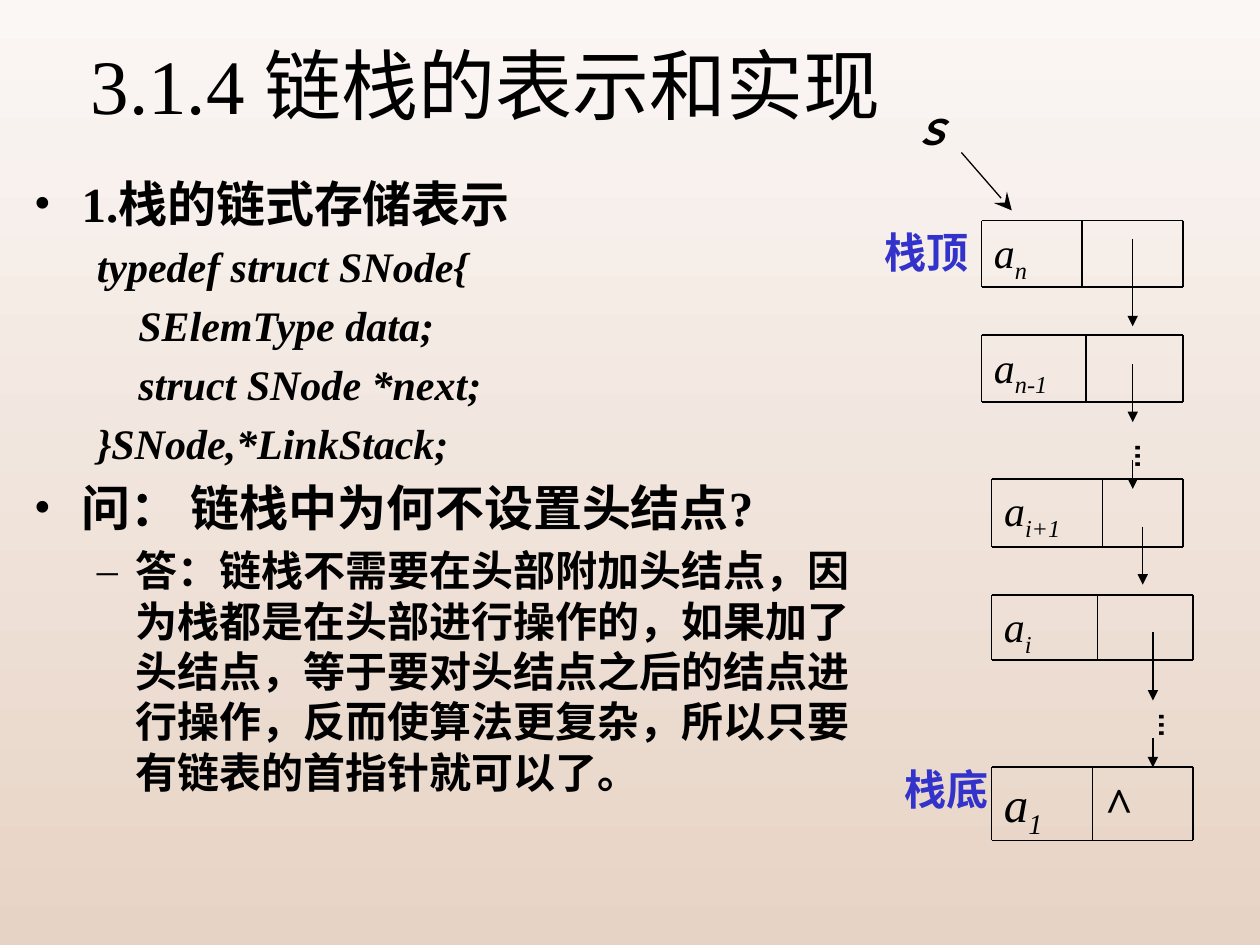
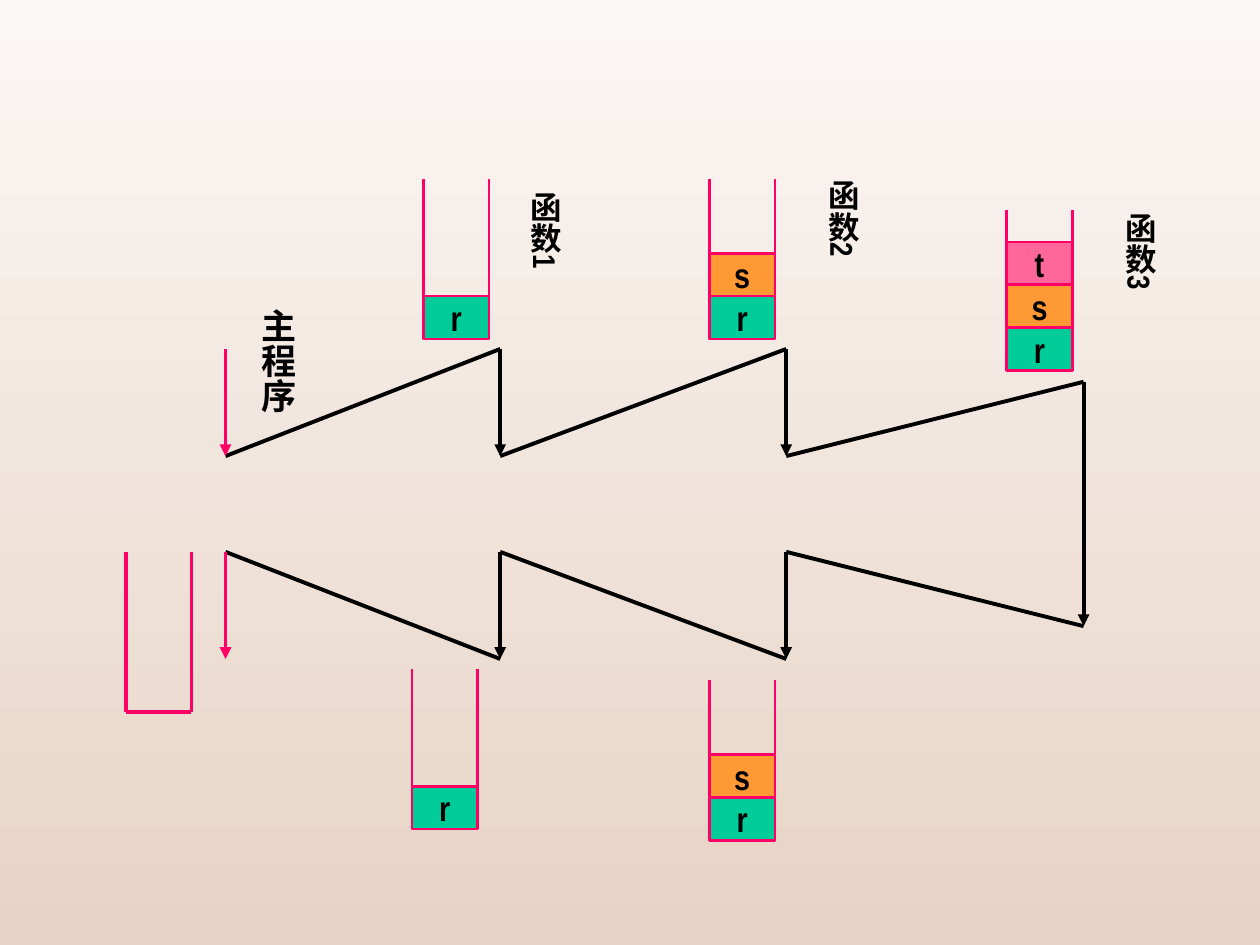
"""Build two slides on linked stacks and nested function calls."""
from pptx import Presentation
from pptx.dml.color import RGBColor
from pptx.enum.shapes import MSO_CONNECTOR, MSO_SHAPE
from pptx.enum.text import MSO_ANCHOR, MSO_AUTO_SIZE, PP_ALIGN
from pptx.oxml.ns import qn
from pptx.util import Inches, Pt
from lxml import etree

LINE, RECT = MSO_CONNECTOR.STRAIGHT, MSO_SHAPE.RECTANGLE
TOP, MIDDLE = MSO_ANCHOR.TOP, MSO_ANCHOR.MIDDLE
LEFT, CENTER = PP_ALIGN.LEFT, PP_ALIGN.CENTER
GROW = MSO_AUTO_SIZE.SHAPE_TO_FIT_TEXT

COLORS = {
    "sky": "FBF7F5", "sand": "E7D3C5", "ink": "000000", "blue": "3333CC",
    "pink": "FF0066", "r": "00CC99", "s": "FF9933", "t": "FF6699",
}
SERIF, SANS = "Times New Roman", "Arial Narrow"
CELL_W, CELL_H, WALL_H = 0.52, 0.34, 1.27

CODE = (0.81, -0.31, None, 24, True)
INNER = (0.83, 0, None, 24, True)
HEAD = (0.38, -0.38, "•", 28, False)
REPLY = (0.81, -0.31, "–", 24, False)
BODY = [
    ("1.栈的链式存储表示", HEAD),
    ("typedef struct SNode{", CODE),
    ("SElemType data;", INNER),
    ("struct SNode *next;", INNER),
    ("}SNode,*LinkStack;", CODE),
    ("问： 链栈中为何不设置头结点?", HEAD),
    ("答：链栈不需要在头部附加头结点，因为栈都是在头部进行操作的，"
     "如果加了头结点，等于要对头结点之后的结点进行操作，"
     "反而使算法更复杂，所以只要有链表的首指针就可以了。", REPLY),
]
NODES = [
    ("n", 7.79, 1.75, 1.6, 0.8, 0.53, 24),
    ("n-1", 7.79, 2.66, 1.6, 0.83, 0.53, 24),
    ("i+1", 7.87, 3.8, 1.52, 0.88, 0.54, 24),
    ("i", 7.87, 4.72, 1.6, 0.84, 0.52, 24),
    ("1", 7.87, 6.09, 1.6, 0.8, 0.58, 28),
]
LINKS = [(8.99, 1.9, 2.59), (8.99, 2.89, 3.35), (8.99, 3.65, 3.88),
         (9.07, 4.18, 4.64), (9.15, 5.02, 5.56), (9.15, 5.86, 6.09)]
CALL_X = [1.79, 3.97, 6.24, 8.6]
CALL_Y = [(2.77, 5.23), (2.77, 5.23), (3.03, 4.97)]
STACKS = [(3.36, 2.69, "r"), (5.63, 2.69, "rs"), (7.99, 2.94, "rst"),
          (3.27, 6.58, "r"), (5.63, 6.67, "rs")]


def color(name):
    """Return the named colour."""
    return RGBColor.from_string(COLORS[name])


def new_slide(deck):
    """Add a blank slide with the shared gradient."""
    slide = deck.slides.add_slide(deck.slide_layouts[6])
    fill = slide.background.fill
    fill.gradient()
    fill.gradient_angle = 270
    for stop, name in zip(fill.gradient_stops, ("sky", "sand")):
        stop.color.rgb = color(name)
    return slide


def style(para, size, font=SERIF, ink="ink", bold=False, italic=False,
          align=LEFT, gap=0):
    """Set the font, alignment and percent space before a paragraph."""
    face = para.font
    face.name, face.size, face.bold, face.italic = font, Pt(size), bold, italic
    face.color.rgb = color(ink)
    para.alignment = align
    if gap:
        space = etree.Element(qn("a:spcBef"))
        etree.SubElement(space, qn("a:spcPct")).set("val", str(gap * 1000))
        para._p.get_or_add_pPr().insert(0, space)


def text(slide, words, at, size, vert=False, anchor=TOP, grow=False, **look):
    """Add a one-paragraph text box."""
    frame = slide.shapes.add_textbox(*map(Inches, at)).text_frame
    frame.word_wrap = True
    frame.vertical_anchor = anchor
    if grow:
        frame.auto_size = GROW
    if vert:
        frame._txBody.bodyPr.set("vert", "eaVert")
    para = frame.paragraphs[0]
    para.text = words
    style(para, size, **look)
    return para


def label(slide, words, at, size, **look):
    """Add a bold label that grows with its text."""
    look = {"font": SANS, "bold": True, "gap": 50, **look}
    text(slide, words, at, size, grow=True, **look)


def line(slide, start, end, width, ink="ink", tip=None, scale="med"):
    """Draw a straight line, with an arrowhead if tip is given."""
    link = slide.shapes.add_connector(LINE, *map(Inches, (*start, *end)))
    link.line.color.rgb = color(ink)
    link.line.width = Pt(width)
    if tip:
        etree.SubElement(link.line._get_or_add_ln(), qn("a:tailEnd"),
                         type=tip, w=scale, len=scale)
    etree.SubElement(link._element.spPr, qn("a:effectLst"))


def bullet(para, mark):
    """Give a paragraph its bullet, or none."""
    props = para._p.get_or_add_pPr()
    if mark:
        props.insert(1, etree.Element(qn("a:buFont"), typeface=SERIF))
        props.insert(2, etree.Element(qn("a:buChar"), char=mark))
    else:
        props.insert(1, etree.Element(qn("a:buNone")))


def body(slide, rows, at):
    """Add the outline of headings, code and reply."""
    frame = slide.shapes.add_textbox(*map(Inches, at)).text_frame
    frame.word_wrap = True
    for i, (words, (margin, indent, mark, size, italic)) in enumerate(rows):
        para = frame.add_paragraph() if i else frame.paragraphs[0]
        para.text = words
        style(para, size, bold=True, italic=italic, gap=20)
        props = para._p.get_or_add_pPr()
        props.set("marL", str(Inches(margin)))
        props.set("indent", str(Inches(indent)))
        bullet(para, mark)


def node(slide, sub, x, y, wide, split, high, size):
    """Draw a list node with a data field and a pointer field."""
    para = text(slide, "a", (x, y, split, high), size, italic=True)
    run = para.add_run()
    run.text = sub
    run._r.get_or_add_rPr().set("baseline", "-25000")
    for edge in (y, y + high):
        line(slide, (x, edge), (x + wide, edge), 1)
    for edge in (x, x + split, x + wide):
        line(slide, (edge, y), (edge, y + high), 1)


def cell(slide, name, x, y):
    """Draw one stack entry."""
    box = slide.shapes.add_shape(RECT, *map(Inches, (x, y, CELL_W, CELL_H)))
    box.shadow.inherit = False
    box.fill.solid()
    box.fill.fore_color.rgb = color(name)
    box.line.color.rgb = color("pink")
    box.line.width = Pt(1.5)
    frame = box.text_frame
    frame.word_wrap = False
    frame.vertical_anchor = MIDDLE
    frame.text = name
    style(frame.paragraphs[0], 20, font=SANS, bold=True, align=CENTER)


def stack(slide, x, base, names, width=1.5):
    """Draw an open stack with its entries from the base up."""
    for side in (x, x + CELL_W):
        line(slide, (side, base), (side, base - WALL_H), width, "pink")
    for i, name in enumerate(names, 1):
        cell(slide, name, x, base - i * CELL_H)
    if not names:
        line(slide, (x, base), (x + CELL_W, base), width, "pink")


def list_slide(deck):
    """Build the slide on the linked stack."""
    slide = new_slide(deck)
    text(slide, "3.1.4 链栈的表示和实现", (0.35, 0.21, 7.01, 0.91), 44,
         anchor=MIDDLE, align=CENTER)
    body(slide, BODY, (0.17, 1.33, 6.83, 5.83))
    for item in NODES:
        node(slide, *item)
    text(slide, "^", (8.67, 6.09, 0.8, 0.58), 28, bold=True)
    for x, start, end in LINKS:
        line(slide, (x, start), (x, end), 0.75, tip="triangle")
    for x, y in ((8.81, 3.42), (9, 5.56)):
        label(slide, "…", (x, y, 0.5, 0.38), 18, vert=True)
    label(slide, "栈顶", (6.92, 1.75, 0.88, 0.5), 24, ink="blue")
    label(slide, "栈底", (7.08, 6.01, 1.04, 0.5), 24, ink="blue")
    label(slide, "Ｓ", (7.16, 0.83, 0.96, 0.43), 20, font=SERIF, italic=True)
    line(slide, (7.63, 1.21), (8.03, 1.67), 0.75, tip="stealth", scale="lg")


def call_slide(deck):
    """Build the slide on nested calls and their stacks."""
    slide = new_slide(deck)
    low, back = 3.62, 4.38
    for x, far, (peak, base) in zip(CALL_X, CALL_X[1:], CALL_Y):
        line(slide, (x, low), (far, peak), 2.25)
        line(slide, (far, base), (x, back), 2.25)
    for x, ink in zip(CALL_X[:3], ("pink", "ink", "ink")):
        for start, end in ((2.77, low), (back, 5.23)):
            line(slide, (x, start), (x, end), 2.25, ink, "triangle")
    line(slide, (CALL_X[3], 3.03), (CALL_X[3], 4.97), 2.25, tip="triangle")
    for item in STACKS:
        stack(slide, *item)
    stack(slide, 1, 5.65, "", 2.25)
    label(slide, "主程序", (1.88, 2.35, 0.54, 1.19), 20, vert=True)
    for i, (x, y) in enumerate(((4.03, 1.42), (6.39, 1.33), (8.75, 1.59)), 1):
        label(slide, f"函数{i}", (x, y, 0.5, 1.52), 18, vert=True, align=CENTER)


def main():
    """Build and save the deck."""
    deck = Presentation()
    deck.slide_width, deck.slide_height = Inches(10), Inches(7.5)
    list_slide(deck)
    call_slide(deck)
    deck.save("out.pptx")


if __name__ == "__main__":
    main()
